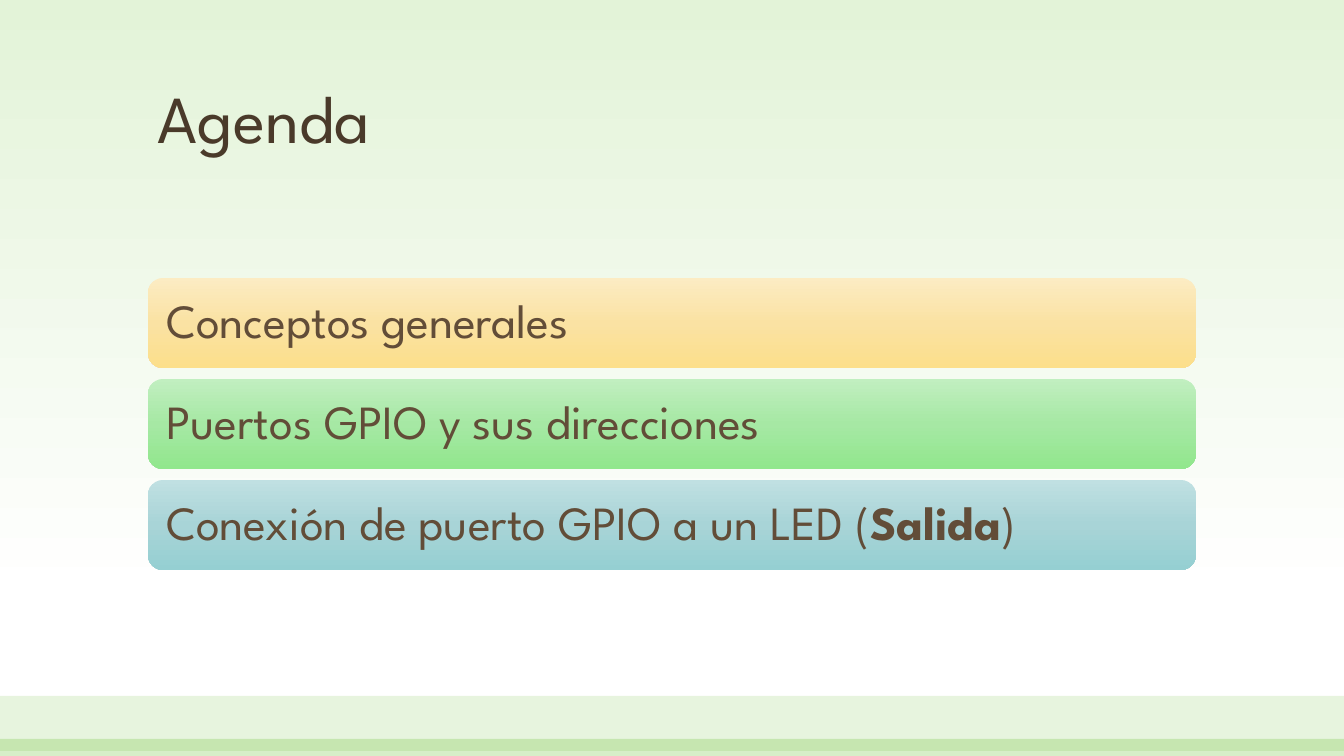
import copy
from dataclasses import dataclass

import pptx
import pptx.dml.color
import pptx.dml.fill
import pptx.enum.shapes
import pptx.enum.text
import pptx.oxml
import pptx.oxml.ns
import pptx.slide
import pptx.text.text
import pptx.util

EMU_PER_PX = 914400 / 100.8
FONT = "League Spartan"
LEFT, WIDTH = 148, 1048
TOPIC_TOP, TOPIC_HEIGHT, TOPIC_STEP = 278, 90, 101
PAGE_WIDTH, PAGE_HEIGHT = 1344, 756
COLORS = {
    "title": "4A3A2A", "topic": "624D38", "band": "72C23C",
    "sky": "E3F3D8", "white": "FFFFFF",
    "amber light": "FCECC3", "amber": "FAE2A3", "amber deep": "FCDF8B",
    "green light": "C1EFC0", "green": "A6E8A4", "green deep": "91E78D",
    "teal light": "C0E0E2", "teal": "A8D4D7", "teal deep": "95CFD2",
}


@dataclass(frozen=True)
class Topic:
    hue: str
    spans: tuple[tuple[str, bool], ...]


@dataclass(frozen=True)
class Band:
    top: int
    height: int
    opacity: int


TOPICS = (
    Topic("amber", (("Conceptos generales", False),)),
    Topic("green", (("Puertos GPIO y sus direcciones", False),)),
    Topic("teal", (("Conexión de puerto GPIO a un LED (", False),
                   ("Salida", True), (")", False))),
)
BANDS = (Band(696, 55, 17), Band(739, 17, 28))


def px(length: int) -> int:
    return round(length * EMU_PER_PX)


def rgb(name: str) -> pptx.dml.color.RGBColor:
    return pptx.dml.color.RGBColor.from_string(COLORS[name])


def fill_downward(fill: pptx.dml.fill.FillFormat, stops: dict[float, str]) -> None:
    """Fill with a top-to-bottom gradient of position: colour name."""
    fill.gradient()
    fill.gradient_angle = 270
    stop_list = fill.gradient_stops[0]._gs.getparent()
    while len(stop_list) < len(stops):
        stop_list.append(copy.deepcopy(stop_list[0]))
    for stop, (position, name) in zip(fill.gradient_stops, stops.items()):
        stop.position = position
        stop.color.rgb = rgb(name)


def write(frame: pptx.text.text.TextFrame, spans: tuple[tuple[str, bool], ...], *,
          size: int, color: str, inset: int,
          anchor: pptx.enum.text.MSO_ANCHOR) -> None:
    frame.word_wrap = True
    frame.vertical_anchor = anchor
    frame.margin_left = frame.margin_right = px(inset)
    frame.margin_top = frame.margin_bottom = px(inset)
    para = frame.paragraphs[0]
    para.alignment = pptx.enum.text.PP_ALIGN.LEFT
    para.line_spacing = 0.9
    for text, bold in spans:
        span = para.add_run()
        span.text = text
        span.font.name = FONT
        span.font.size = pptx.util.Pt(size)
        span.font.bold = bold
        span.font.color.rgb = rgb(color)


def draw_band(page: pptx.slide.Slide, band: Band) -> None:
    shape = page.shapes.add_shape(
        pptx.enum.shapes.MSO_SHAPE.RECTANGLE,
        0, px(band.top), px(PAGE_WIDTH), px(band.height))
    shape.shadow.inherit = False
    shape.line.fill.background()
    shape.fill.solid()
    shape.fill.fore_color.rgb = rgb("band")
    color = shape.fill._xPr.find(".//" + pptx.oxml.ns.qn("a:srgbClr"))
    alpha = pptx.oxml.parse_xml(
        f'<a:alpha {pptx.oxml.ns.nsdecls("a")} val="{band.opacity * 1000}"/>')
    color.append(alpha)


def draw_topic(page: pptx.slide.Slide, topic: Topic, top: int) -> None:
    shape = page.shapes.add_shape(
        pptx.enum.shapes.MSO_SHAPE.ROUNDED_RECTANGLE,
        px(LEFT), px(top), px(WIDTH), px(TOPIC_HEIGHT))
    shape.shadow.inherit = False
    shape.line.fill.background()
    fill_downward(shape.fill, {
        0: f"{topic.hue} light", 0.5: topic.hue, 1: f"{topic.hue} deep"})
    write(shape.text_frame, topic.spans, size=34, color="topic", inset=14,
          anchor=pptx.enum.text.MSO_ANCHOR.MIDDLE)


def main() -> None:
    deck = pptx.Presentation()
    deck.slide_width, deck.slide_height = px(PAGE_WIDTH), px(PAGE_HEIGHT)
    page = deck.slides.add_slide(deck.slide_layouts[6])
    fill_downward(page.background.fill, {0: "sky", 0.79: "white"})
    for band in BANDS:
        draw_band(page, band)
    title = page.shapes.add_textbox(px(LEFT), px(48), px(WIDTH), px(120))
    write(title.text_frame, (("Agenda", False),), size=48, color="title", inset=10,
          anchor=pptx.enum.text.MSO_ANCHOR.BOTTOM)
    for index, topic in enumerate(TOPICS):
        draw_topic(page, topic, TOPIC_TOP + index * TOPIC_STEP)
    deck.save("out.pptx")


if __name__ == "__main__":
    main()
